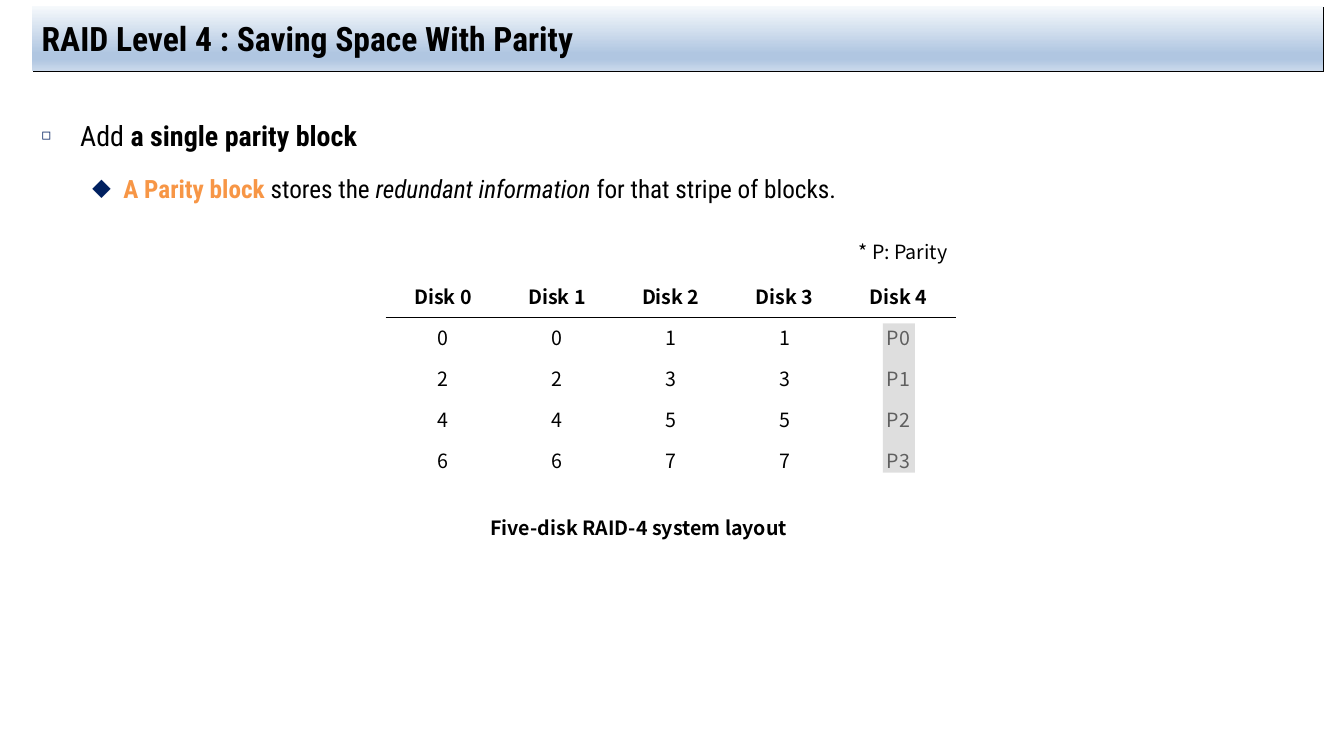
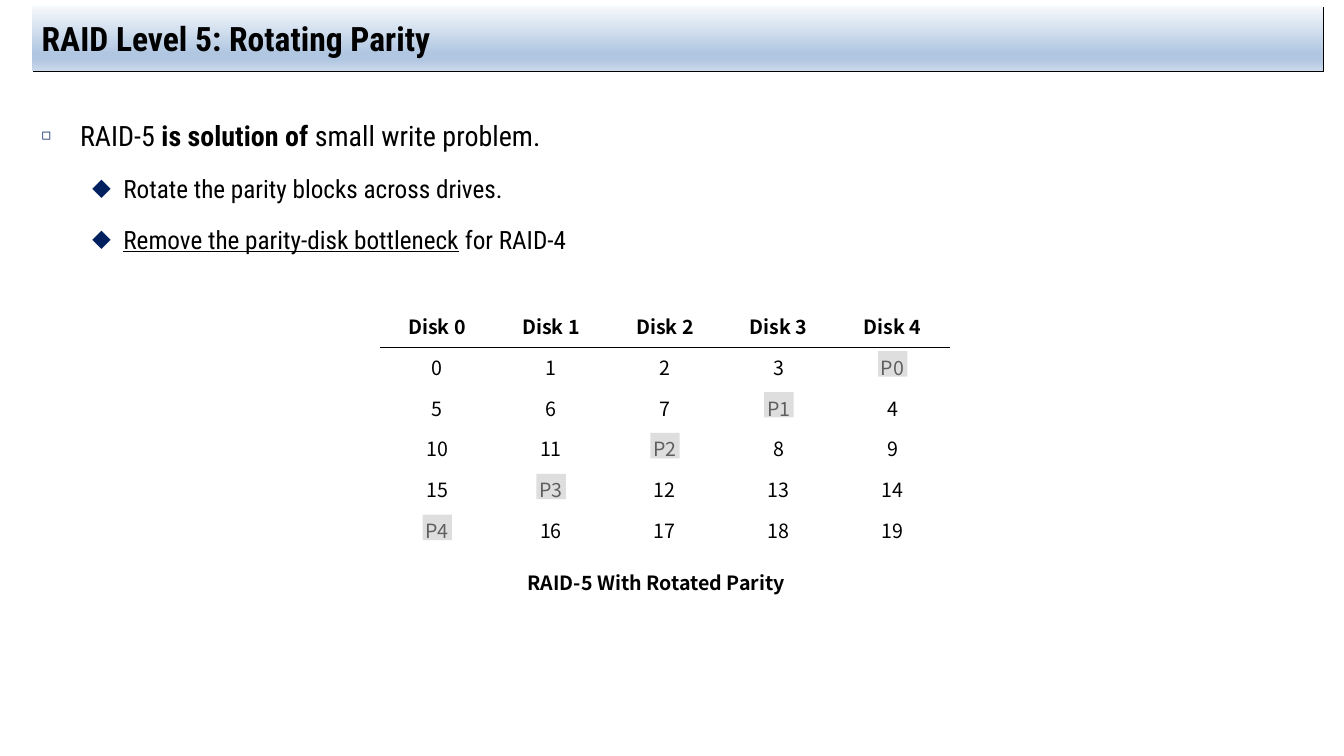
"""Build two slides on RAID parity layouts."""
from lxml.etree import SubElement
from pptx import Presentation
from pptx.dml.color import RGBColor
from pptx.enum.shapes import MSO_SHAPE as Shape
from pptx.enum.text import MSO_ANCHOR as Anchor, PP_ALIGN as Align
from pptx.oxml.ns import qn
from pptx.util import Cm, Pt

COLORS = {
    "text": "000000",
    "paper": "FFFFFF",
    "bullet": "002060",
    "accent": "F79646",
    "shade": "BFBFBF",
}
TITLE_STOPS = [(0, "F6F9FC"), (74, "B0C6E1"), (83, "B0C6E1"), (100, "CAD9EB")]
BODY_FONT = "Roboto Condensed"
FIGURE_FONT = "Noto Sans CJK KR"
LEVELS = [
    {"char": "◻", "font": BODY_FONT, "scale": 55, "left": 0.97, "hang": 0.97, "size": 20},
    {"char": "◆", "font": FIGURE_FONT, "scale": 75, "left": 2.06, "hang": 0.79, "size": 18},
]
COLUMN_WIDTH = 2.87
ROW_HEIGHT = 1.03


def color(name):
    return RGBColor.from_string(COLORS[name])


def add_element(parent, tag, **attributes):
    return SubElement(parent, qn(tag), {key: str(value) for key, value in attributes.items()})


class SlideWriter:
    def __init__(self):
        self.deck = Presentation()
        self.deck.slide_width = Cm(33.87)
        self.deck.slide_height = Cm(19.05)
        self.page = None

    def start(self, title):
        self.page = self.deck.slides.add_slide(self.deck.slide_layouts[6])
        self.title_band(title)

    def style(self, font, name, size, bold=False, italic=False, underline=False, ink="text"):
        font.name = name
        font.size = Pt(size)
        font.bold = bold
        font.italic = italic
        font.underline = underline
        font.color.rgb = color(ink)

    def rectangle(self, left, top, width, height):
        box = self.page.shapes.add_shape(
            Shape.RECTANGLE, Cm(left), Cm(top), Cm(width), Cm(height))
        box.shadow.inherit = False
        box.line.fill.background()
        return box

    def title_band(self, text):
        band = self.rectangle(0.8, 0.15, 32.54, 1.63)
        band.fill.gradient()
        band.fill.gradient_angle = 270
        properties = band.element.spPr
        stops = properties.find(".//" + qn("a:gsLst"))
        stops.clear()
        for position, value in TITLE_STOPS:
            stop = add_element(stops, "a:gs", pos=position * 1000)
            add_element(stop, "a:srgbClr", val=value)
        shadow = add_element(properties.find(qn("a:effectLst")), "a:outerShdw",
                             dist=Pt(1.4), dir=45 * 60000, algn="tl", rotWithShape=0)
        add_element(shadow, "a:srgbClr", val=COLORS["text"])
        band.text_frame.text = text
        band.text_frame.word_wrap = True
        band.text_frame.vertical_anchor = Anchor.MIDDLE
        para = band.text_frame.paragraphs[0]
        para.alignment = Align.LEFT
        self.style(para.runs[0].font, BODY_FONT, 24, bold=True)

    def text_box(self, left, top, width, height):
        box = self.page.shapes.add_textbox(Cm(left), Cm(top), Cm(width), Cm(height))
        box.text_frame.word_wrap = True
        return box.text_frame

    def bullets(self, items):
        frame = self.text_box(0.8, 2.44, 32.54, 15.29)
        for index, (depth, spans) in enumerate(items):
            para = frame.add_paragraph() if index else frame.paragraphs[0]
            level = LEVELS[depth]
            properties = para._p.get_or_add_pPr()
            properties.set("marL", str(Cm(level["left"])))
            properties.set("indent", str(-Cm(level["hang"])))
            tint = add_element(properties, "a:buClr")
            add_element(tint, "a:srgbClr", val=COLORS["bullet"])
            add_element(properties, "a:buSzPct", val=level["scale"] * 1000)
            add_element(properties, "a:buFont", typeface=level["font"])
            add_element(properties, "a:buChar", char=level["char"])
            para.level = depth
            para.line_spacing = 1.5
            if index:
                para.space_before = Pt(4)
            for text, look in spans:
                span = para.add_run()
                span.text = text
                self.style(span.font, BODY_FONT, level["size"], **look)

    def label(self, text, left, top, width, bold=False):
        frame = self.text_box(left, top, width, 0.86)
        frame.text = text
        para = frame.paragraphs[0]
        para.alignment = Align.CENTER
        self.style(para.runs[0].font, FIGURE_FONT, 14, bold=bold)

    def border(self, cell, side):
        properties = cell._tc.get_or_add_tcPr()
        line = properties.makeelement(qn(side), {"w": str(Pt(0.75))})
        properties.insert(0, line)
        fill = add_element(line, "a:solidFill")
        add_element(fill, "a:srgbClr", val=COLORS["text"])

    def disk_table(self, left, top, blocks):
        rows = [[f"Disk {number}" for number in range(len(blocks[0]))], *blocks]
        table = self.page.shapes.add_table(
            len(rows), len(rows[0]), Cm(left), Cm(top),
            Cm(COLUMN_WIDTH * len(rows[0])), Cm(ROW_HEIGHT * len(rows))).table
        table.first_row = False
        table.horz_banding = False
        for row_index, row in enumerate(rows):
            for column_index, text in enumerate(row):
                cell = table.cell(row_index, column_index)
                cell.text = text
                cell.fill.solid()
                cell.fill.fore_color.rgb = color("paper")
                para = cell.text_frame.paragraphs[0]
                para.alignment = Align.CENTER
                self.style(para.runs[0].font, FIGURE_FONT, 14, bold=row_index == 0)
                if row_index < 2:
                    self.border(cell, "a:lnT" if row_index else "a:lnB")

    def shade(self, left, top, width, height):
        veil = self.rectangle(left, top, width, height)
        veil.fill.solid()
        veil.fill.fore_color.rgb = color("shade")
        add_element(veil.element.spPr.find(".//" + qn("a:srgbClr")), "a:alpha", val=50000)


def parity_disk(writer):
    writer.start("RAID Level 4 : Saving Space With Parity")
    writer.bullets([
        (0, [("Add ", {}), ("a single parity block", {"bold": True})]),
        (1, [("A Parity block ", {"bold": True, "ink": "accent"}),
             ("stores the ", {}),
             ("redundant information", {"italic": True}),
             (" for that stripe of blocks.", {})]),
    ])
    writer.label("Five-disk RAID-4 system layout", 10.31, 12.88, 11.58, bold=True)
    writer.disk_table(9.73, 6.97, [
        ["0", "0", "1", "1", "P0"],
        ["2", "2", "3", "3", "P1"],
        ["4", "4", "5", "5", "P2"],
        ["6", "6", "7", "7", "P3"],
    ])
    writer.label("* P: Parity", 21.31, 5.92, 2.9)
    writer.shade(22.25, 8.15, 0.81, 3.76)


def rotating_parity(writer):
    writer.start("RAID Level 5: Rotating Parity")
    writer.bullets([
        (0, [("RAID-5 ", {}), ("is solution of", {"bold": True}),
             (" small write problem.", {})]),
        (1, [("Rotate the parity blocks across drives.", {})]),
        (1, [("Remove the parity-disk bottleneck", {"underline": True}),
             (" for RAID-4", {})]),
    ])
    writer.label("RAID-5 With Rotated Parity", 10.75, 14.27, 11.58, bold=True)
    blocks = [
        ["0", "1", "2", "3", "P0"],
        ["5", "6", "7", "P1", "4"],
        ["10", "11", "P2", "8", "9"],
        ["15", "P3", "12", "13", "14"],
        ["P4", "16", "17", "18", "19"],
    ]
    writer.disk_table(9.58, 7.72, blocks)
    for stripe in range(len(blocks)):
        writer.shade(22.13 - COLUMN_WIDTH * stripe, 8.85 + ROW_HEIGHT * stripe, 0.74, 0.64)


def main():
    writer = SlideWriter()
    parity_disk(writer)
    rotating_parity(writer)
    writer.deck.save("out.pptx")


if __name__ == "__main__":
    main()
